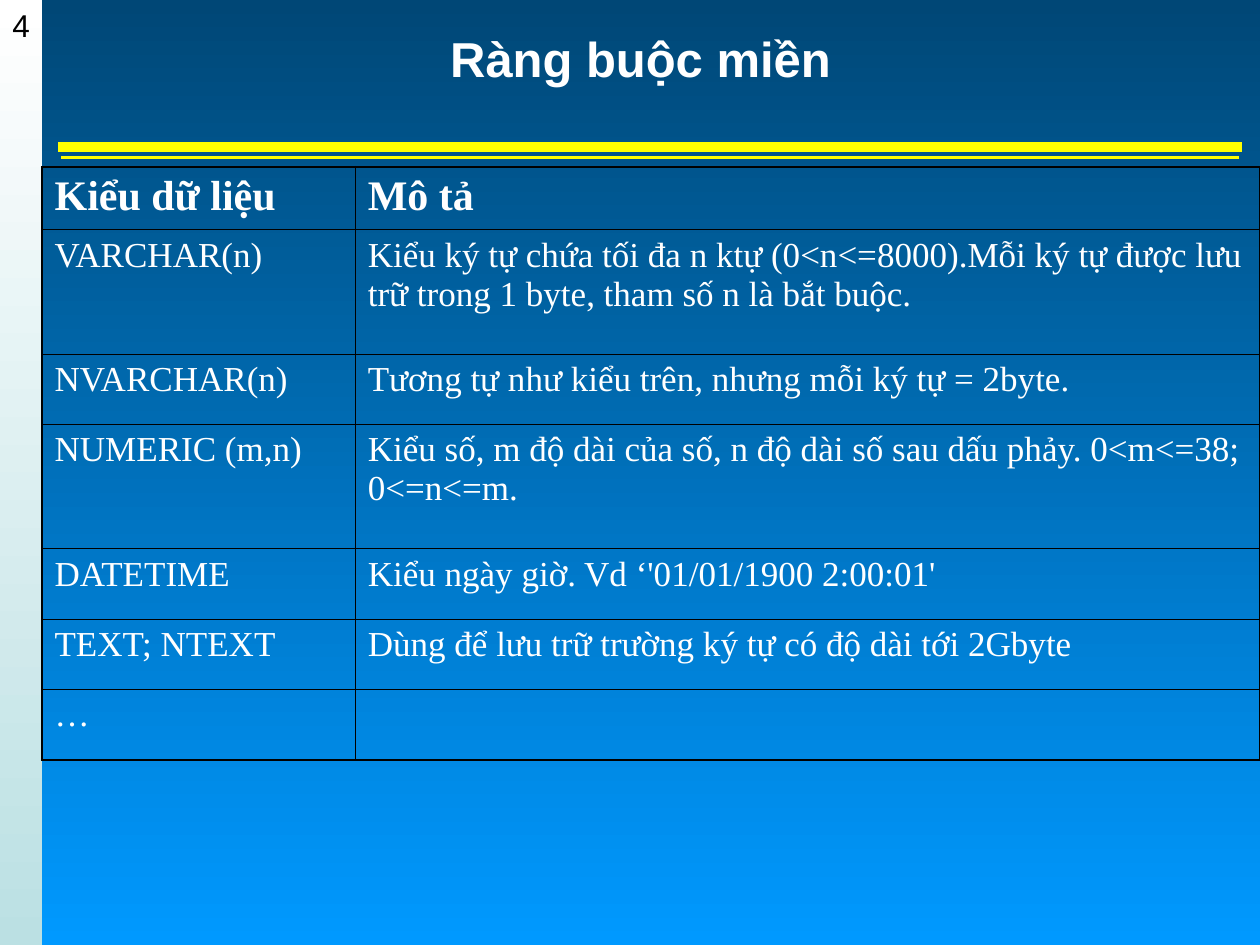
from lxml.etree import SubElement
from pptx import Presentation
from pptx.dml.color import RGBColor
from pptx.enum.shapes import MSO_CONNECTOR as Connector, MSO_SHAPE as Shape
from pptx.enum.text import MSO_ANCHOR as Anchor, PP_ALIGN as Align
from pptx.oxml import parse_xml
from pptx.oxml.ns import nsdecls, qn
from pptx.util import Pt

THICK, THIN = 1.08, 0.45
TYPES = [
    ("Kiểu dữ liệu", "Mô tả"),
    ("VARCHAR(n)", "Kiểu ký tự chứa tối đa n ktự (0<n<=8000).Mỗi ký tự được lưu "
                   "trữ trong 1 byte, tham số n là bắt buộc."),
    ("NVARCHAR(n)", "Tương tự như kiểu trên, nhưng mỗi ký tự = 2byte."),
    ("NUMERIC (m,n)", "Kiểu số, m độ dài của số, n độ dài số sau dấu phảy. "
                      "0<m<=38; 0<=n<=m."),
    ("DATETIME", "Kiểu ngày giờ. Vd ‘'01/01/1900 2:00:01'"),
    ("TEXT; NTEXT", "Dùng để lưu trữ trường ký tự có độ dài tới 2Gbyte"),
    ("…", ""),
]


def color(value):
    return RGBColor.from_string(value)


def write(frame, text, size=20, font="Times New Roman", fill="FFFFFF",
          bold=False, align=Align.LEFT, anchor=Anchor.TOP):
    frame.word_wrap = True
    frame.vertical_anchor = anchor
    para = frame.paragraphs[0]
    para.alignment = align
    span = para.add_run()
    span.text = text
    span.font.size, span.font.name, span.font.bold = Pt(size), font, bold
    span.font.color.rgb = color(fill)


def fade_down(fill, top, bottom):
    fill.gradient()
    fill.gradient_angle = 270
    for stop, value in zip(fill.gradient_stops, (top, bottom)):
        stop.color.rgb = color(value)


def set_borders(cell, **widths):
    """Draw black borders, given as L, R, T, B in points."""
    properties = cell._tc.get_or_add_tcPr()
    for index, side in enumerate("LRTB"):
        properties.insert(index, parse_xml(
            f'<a:ln{side} {nsdecls("a")} w="{Pt(widths[side])}">'
            '<a:solidFill><a:srgbClr val="000000"/></a:solidFill>'
            f'</a:ln{side}>'))


class SlideBuilder:
    heading_font = "Arial"
    accent = "FFFF00"

    def __init__(self, deck):
        self.page = deck.slides.add_slide(deck.slide_layouts[5])
        fade_down(self.page.background.fill, "004776", "0099FF")

    def sidebar(self, number, width, height):
        box = self.page.shapes.add_shape(Shape.RECTANGLE, 0, 0, Pt(width), Pt(height))
        box.shadow.inherit = False
        box.line.fill.background()
        fade_down(box.fill, "FFFFFF", "BBE0E3")
        write(box.text_frame, number, size=18, font=self.heading_font, fill="000000")

    def rule(self, left, right, y, weight):
        line = self.page.shapes.add_connector(
            Connector.STRAIGHT, Pt(left), Pt(y), Pt(right), Pt(y))
        line.line.color.rgb = color(self.accent)
        line.line.width = Pt(weight)
        properties = line._element.spPr
        properties.find(qn("a:ln")).set("cap", "sq")
        SubElement(properties, qn("a:effectLst"))

    def title(self, text, left, top, width, height):
        box = self.page.shapes.title
        box.left, box.top, box.width, box.height = map(Pt, (left, top, width, height))
        write(box.text_frame, text, size=28, font=self.heading_font, bold=True,
              align=Align.CENTER, anchor=Anchor.MIDDLE)

    def table(self, rows, left, top, widths, heights):
        table = self.page.shapes.add_table(
            len(rows), len(widths), Pt(left), Pt(top),
            Pt(sum(widths)), Pt(sum(heights))).table
        table.first_row = table.horz_banding = False
        for column, width in zip(table.columns, widths):
            column.width = Pt(width)
        for row, height in zip(table.rows, heights):
            row.height = Pt(height)
        last_row, last_column = len(rows) - 1, len(widths) - 1
        for r, texts in enumerate(rows):
            for c, text in enumerate(texts):
                cell = table.cell(r, c)
                cell.fill.background()
                # Outer edges are thicker than the inner grid
                set_borders(cell, L=THIN if c else THICK, T=THIN if r else THICK,
                            R=THICK if c == last_column else THIN,
                            B=THICK if r == last_row else THIN)
                if text:
                    write(cell.text_frame, text, size=20 if r else 24, bold=r == 0)


def main():
    deck = Presentation()
    deck.slide_width, deck.slide_height = Pt(720), Pt(540)
    slide = SlideBuilder(deck)

    # Frame: numbered sidebar and double rule
    slide.sidebar("4", 24, 540)
    for y, weight in ((90, 2), (84, 6)):
        slide.rule(36, 707, y, weight)

    # Content
    slide.title("Ràng buộc miền", 12, 12, 708, 42)
    short, tall = 40.25, 71
    slide.table(TYPES, 24, 95.25, (179, 517),
                (36, tall, short, tall, short, short, short))

    deck.save("out.pptx")


if __name__ == "__main__":
    main()
